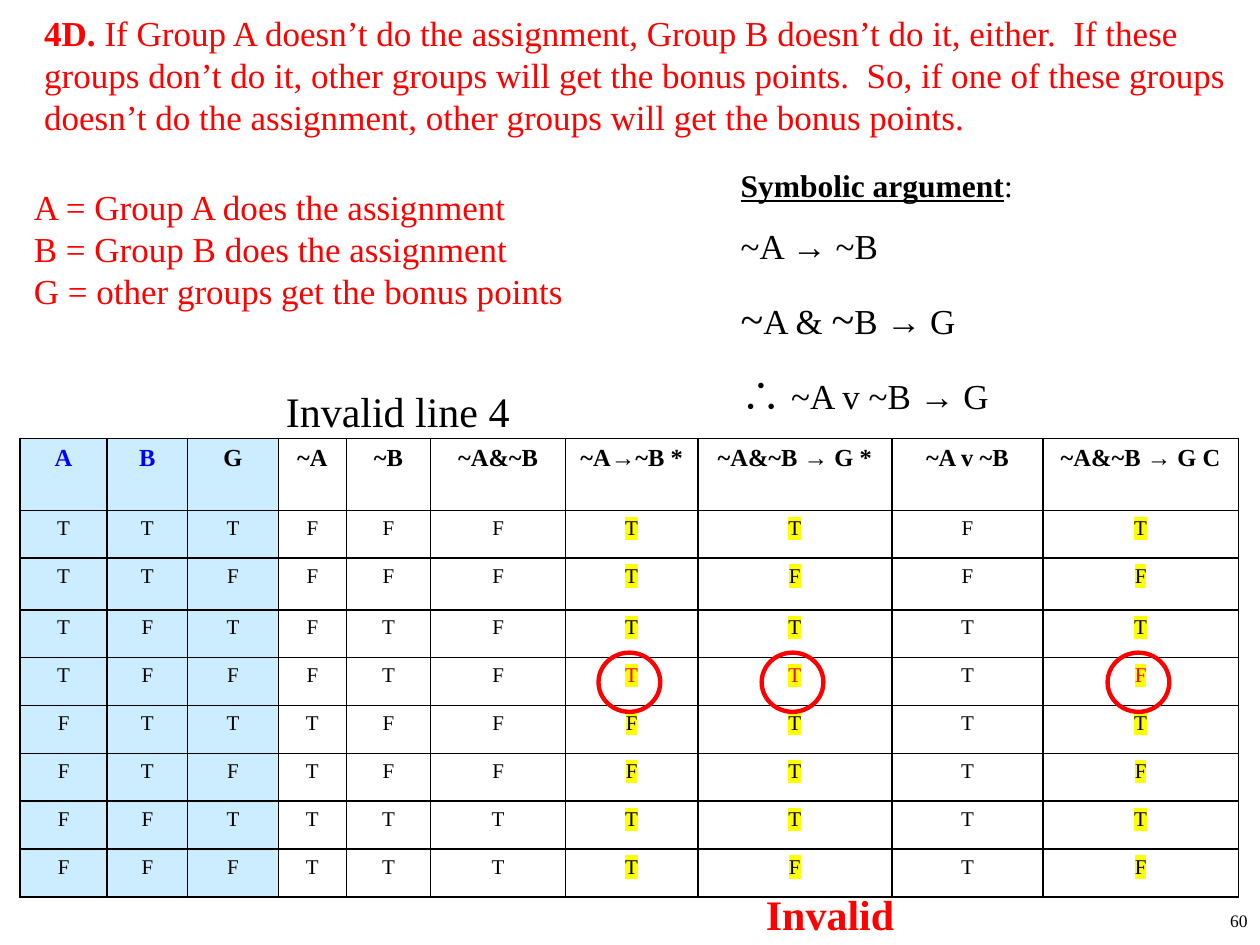
from pptx import Presentation
from pptx.dml.color import RGBColor
from pptx.enum.shapes import MSO_SHAPE
from pptx.enum.text import MSO_ANCHOR, MSO_AUTO_SIZE, PP_ALIGN
from pptx.oxml.ns import qn
from pptx.util import Inches, Pt
from lxml.etree import SubElement, Element

BLACK = RGBColor(0x00, 0x00, 0x00)
WHITE = RGBColor(0xFF, 0xFF, 0xFF)
RED = RGBColor(0xFF, 0x00, 0x00)
BLUE = RGBColor(0x00, 0x00, 0xFF)
PALE_BLUE = RGBColor(0xCC, 0xEC, 0xFF)
YELLOW = RGBColor(0xFF, 0xFF, 0x00)
FONT = "Times New Roman"

PROBLEM = [
    ("4D. ", 20, True, False),
    ("If Group A doesn’t do the assignment, Group B doesn’t do it, either.  "
     "If these groups don’t do it, other groups will get the bonus points.  "
     "So, if one of these groups doesn’t do the assignment, other groups will "
     "get the bonus points.", 20, False, False),
]
LEGEND = [
    [("A = Group A does the assignment", 20, False, False)],
    [("B = Group B does the assignment", 20, False, False)],
    [("G = other groups get the bonus points", 20, False, False)],
]
ARGUMENT = [
    [("Symbolic argument", 18, True, True), (":", 18, False, False)],
    [("~A → ~B", 20, False, False)],
    [("~", 24, False, False), ("A & ", 20, False, False),
     ("~", 24, False, False), ("B → G", 20, False, False)],
    [("∴", 24, False, False), (" ~A v ~B → G", 20, False, False)],
]
CAPTION = [[("Invalid line 4", 24, False, False)]]
VERDICT = [[("Invalid", 24, True, False)]]
PAGE_NUMBER = [[("60", 10, False, False)]]

HEADERS = ["A", "B", "G", "~A", "~B", "~A&~B", "~A→~B *", "~A&~B → G *",
           "~A v ~B", "~A&~B → G C"]
TRUTH_ROWS = ["TTTFFFTTFT", "TTFFFFTFFF", "TFTFTFTTTT", "TFFFTFTTTF",
              "FTTTFFFTTT", "FTFTFFFTTF", "FFTTTTTTTT", "FFFTTTTFTF"]
COLUMN_WIDTHS = [0.69, 0.64, 0.72, 0.54, 0.67, 1.07, 1.05, 1.54, 1.2, 1.55]
ROW_HEIGHTS = [0.57, 0.38, 0.41] + [0.38] * 6
TABLE_LEFT, TABLE_TOP = 0.16, 3.48
VARIABLE_COLUMNS = 3
ARGUMENT_COLUMNS = (6, 7, 9)
INVALID_ROW = 4
CIRCLE_WIDTH, CIRCLE_HEIGHT = 0.49, 0.47


def add_runs(paragraph, runs, color):
    for text, size, bold, underline in runs:
        run = paragraph.add_run()
        run.text = text
        run.font.name = FONT
        run.font.size = Pt(size)
        run.font.bold = bold
        run.font.underline = underline
        run.font.color.rgb = color


def add_text(slide, box, paragraphs, color, align=PP_ALIGN.LEFT,
             line_spacing=None, wrap=True):
    frame = slide.shapes.add_textbox(*map(Inches, box)).text_frame
    frame.word_wrap = wrap
    for index, runs in enumerate(paragraphs):
        paragraph = frame.add_paragraph() if index else frame.paragraphs[0]
        paragraph.alignment = align
        paragraph.line_spacing = line_spacing
        add_runs(paragraph, runs, color)


def add_borders(cell):
    properties = cell._tc.get_or_add_tcPr()
    for side in ("lnL", "lnR", "lnT", "lnB"):
        border = SubElement(properties, qn(f"a:{side}"), w=str(Pt(1)))
        fill = SubElement(border, qn("a:solidFill"))
        SubElement(fill, qn("a:srgbClr"), val=str(BLACK))


def highlight(run):
    mark = Element(qn("a:highlight"))
    SubElement(mark, qn("a:srgbClr"), val=str(YELLOW))
    run._r.rPr.find(qn("a:solidFill")).addnext(mark)


def add_problem(slide):
    body = slide.placeholders[1]
    body.left, body.top, body.width, body.height = map(Inches, (0, 0.04, 10, 0.82))
    frame = body.text_frame
    frame.auto_size = MSO_AUTO_SIZE.NONE
    frame.vertical_anchor = MSO_ANCHOR.TOP
    paragraph = frame.paragraphs[0]
    properties = paragraph._p.get_or_add_pPr()
    properties.set("marL", str(Inches(0.25)))
    properties.set("indent", "0")
    SubElement(properties, qn("a:buNone"))
    paragraph.space_before = Pt(0)
    add_runs(paragraph, PROBLEM, RED)


def add_truth_table(slide):
    rows = [HEADERS] + TRUTH_ROWS
    table = slide.shapes.add_table(
        len(rows), len(HEADERS), Inches(TABLE_LEFT), Inches(TABLE_TOP),
        Inches(sum(COLUMN_WIDTHS)), Inches(sum(ROW_HEIGHTS))).table
    table.first_row = table.horz_banding = False
    for column, width in zip(table.columns, COLUMN_WIDTHS):
        column.width = Inches(width)
    for row, height in zip(table.rows, ROW_HEIGHTS):
        row.height = Inches(height)
    for r, values in enumerate(rows):
        for c, value in enumerate(values):
            cell = table.cell(r, c)
            add_borders(cell)
            cell.fill.solid()
            cell.fill.fore_color.rgb = PALE_BLUE if c < VARIABLE_COLUMNS else WHITE
            is_header = r == 0
            in_argument = c in ARGUMENT_COLUMNS
            color = BLACK
            if is_header and c < 2:
                color = BLUE
            elif r == INVALID_ROW and in_argument:
                color = RED
            paragraph = cell.text_frame.paragraphs[0]
            paragraph.alignment = PP_ALIGN.CENTER
            add_runs(paragraph, [(value, 14 if is_header else 12, is_header, False)], color)
            if in_argument and not is_header:
                highlight(paragraph.runs[0])


def add_circles(slide):
    top = TABLE_TOP + sum(ROW_HEIGHTS[:INVALID_ROW]) - 0.04
    for column in ARGUMENT_COLUMNS:
        center = TABLE_LEFT + sum(COLUMN_WIDTHS[:column]) + COLUMN_WIDTHS[column] / 2 - 0.02
        circle = slide.shapes.add_shape(
            MSO_SHAPE.OVAL, Inches(center - CIRCLE_WIDTH / 2), Inches(top),
            Inches(CIRCLE_WIDTH), Inches(CIRCLE_HEIGHT))
        circle.shadow.inherit = False
        circle.fill.background()
        circle.line.color.rgb = RED
        circle.line.width = Pt(2.5)


def main():
    presentation = Presentation()
    presentation.slide_width, presentation.slide_height = Inches(10), Inches(7.5)
    slide = presentation.slides.add_slide(presentation.slide_layouts[1])
    title = slide.shapes.title.element
    title.getparent().remove(title)
    add_problem(slide)
    add_text(slide, (7.92, 7.17, 2.08, 0.33), PAGE_NUMBER, BLACK, PP_ALIGN.RIGHT)
    add_text(slide, (5.78, 1.12, 4.05, 2.2), ARGUMENT, BLACK, line_spacing=1.5)
    add_text(slide, (0.17, 1.42, 5.27, 1.65), LEGEND, RED)
    add_truth_table(slide)
    add_text(slide, (5.98, 7, 1.57, 0.5), VERDICT, RED)
    add_text(slide, (2.17, 3.01, 1.99, 0.5), CAPTION, BLACK, wrap=False)
    add_circles(slide)
    presentation.save("out.pptx")


if __name__ == "__main__":
    main()
